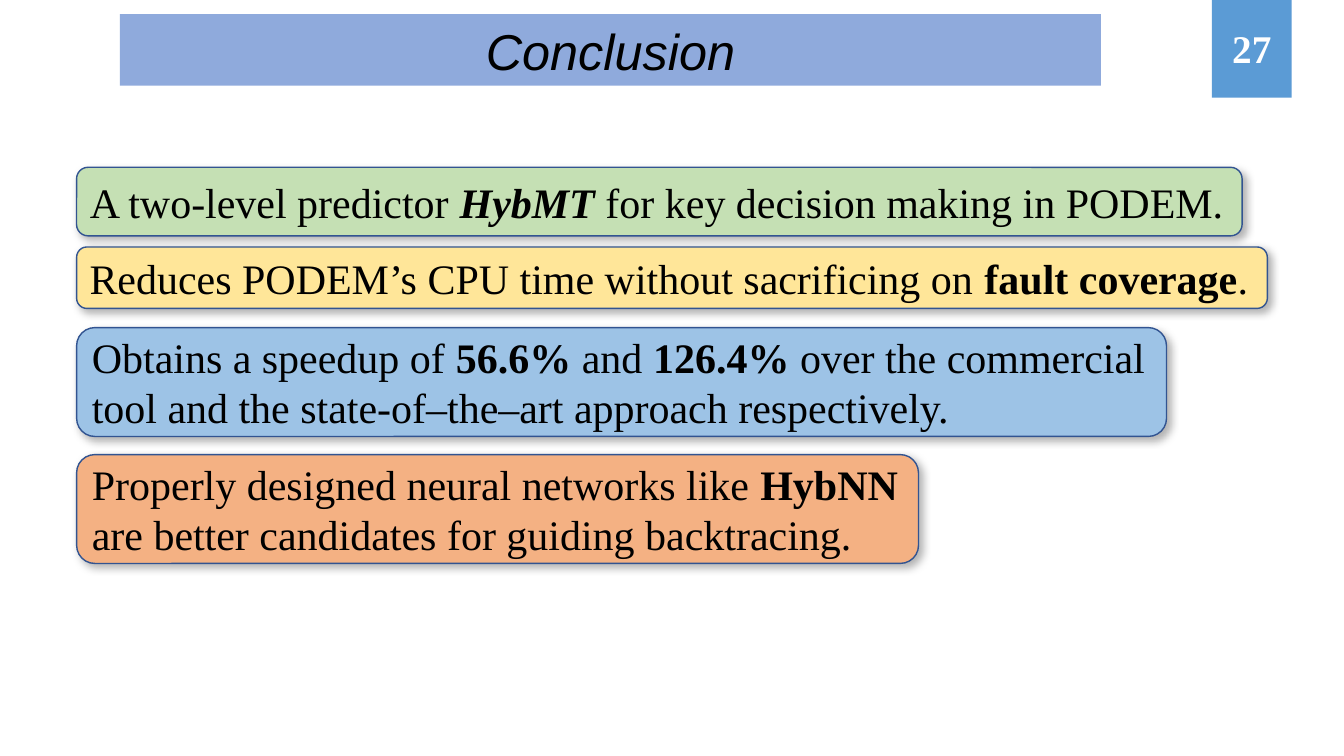
from lxml import etree
from pptx import Presentation
from pptx.dml.color import RGBColor
from pptx.enum.shapes import MSO_SHAPE
from pptx.enum.text import MSO_ANCHOR, MSO_AUTO_SIZE, PP_ALIGN
from pptx.oxml.ns import qn
from pptx.util import Emu, Pt

PX = 9144  # 100 px to the inch
TITLE_ONLY = 5
RECT, ROUNDED = MSO_SHAPE.RECTANGLE, MSO_SHAPE.ROUNDED_RECTANGLE
MIDDLE, CENTER, LEFT = MSO_ANCHOR.MIDDLE, PP_ALIGN.CENTER, PP_ALIGN.LEFT
SERIF, SANS = "Times New Roman", "Arial"

# Top, width, height, fill, and text spans with their style (b bold, i italic)
CONCLUSIONS = [
    (166, 1156, 68, "C5E0B4", [
        ("A two-level predictor ", ""), ("HybMT", "bi"),
        (" for key decision making in PODEM.", "")]),
    (245, 1181, 61, "FFE699", [
        ("Reduces PODEM’s CPU time without sacrificing on ", ""),
        ("fault coverage", "b"), (".", "")]),
    (325, 1081, 108, "9DC3E6", [
        ("Obtains a speedup of ", ""), ("56.6% ", "b"), ("and ", ""),
        ("126.4%", "b"),
        (" over the commercial tool and the state-of–the–art approach respectively.", "")]),
    (451, 835, 108, "F4B183", [
        ("Properly designed neural networks like ", ""), ("HybNN ", "b"),
        ("are better candidates for guiding backtracing.", "")]),
]


def px(length):
    return Emu(length * PX)


def color(value):
    return RGBColor.from_string(value)


def fill_shape(shape, value):
    shape.fill.solid()
    shape.fill.fore_color.rgb = color(value)


def write_text(shape, spans, font_name, size, text_color, align):
    frame = shape.text_frame
    frame.word_wrap = True
    frame.auto_size = MSO_AUTO_SIZE.NONE
    frame.vertical_anchor = MIDDLE
    para = frame.paragraphs[0]
    para.alignment = align
    para.font.name = font_name
    para.font.size = Pt(size)
    para.font.color.rgb = color(text_color)
    for text, style in spans:
        span = para.add_run()
        span.text = text
        if "b" in style:
            span.font.bold = True
        if "i" in style:
            span.font.italic = True


def add_soft_shadow(shape):
    effects = shape._element.spPr.find(qn("a:effectLst"))
    shadow = etree.SubElement(effects, qn("a:outerShdw"), blurRad="76200",
                              dist="38100", dir="2700000", algn="tl",
                              rotWithShape="0")
    black = etree.SubElement(shadow, qn("a:srgbClr"), val="000000")
    etree.SubElement(black, qn("a:alpha"), val="30000")


def add_box(page, kind, left, top, width, height, fill):
    box = page.shapes.add_shape(kind, px(left), px(top), px(width), px(height))
    box.shadow.inherit = False
    fill_shape(box, fill)
    box.line.fill.background()
    return box


def add_title(page, text):
    title = page.shapes.title
    title.left, title.top = px(119), px(14)
    title.width, title.height = px(973), px(71)
    fill_shape(title, "8FAADC")
    write_text(title, [(text, "i")], SANS, 36, "000000", CENTER)


def add_page_number(page, number):
    box = add_box(page, RECT, 1202, -2, 79, 99, "5B9BD5")
    write_text(box, [(number, "b")], SERIF, 28, "FFFFFF", CENTER)


def add_conclusion(page, top, width, height, fill, spans):
    box = add_box(page, ROUNDED, 76, top, width, height, fill)
    box.line.color.rgb = color("325491")
    box.line.width = Pt(1)
    add_soft_shadow(box)
    write_text(box, spans, SERIF, 30, "000000", LEFT)


def main():
    deck = Presentation()
    deck.slide_width, deck.slide_height = px(1333), px(750)
    page = deck.slides.add_slide(deck.slide_layouts[TITLE_ONLY])
    add_title(page, "Conclusion")
    add_page_number(page, "27")
    for conclusion in CONCLUSIONS:
        add_conclusion(page, *conclusion)
    deck.save("out.pptx")


if __name__ == "__main__":
    main()
